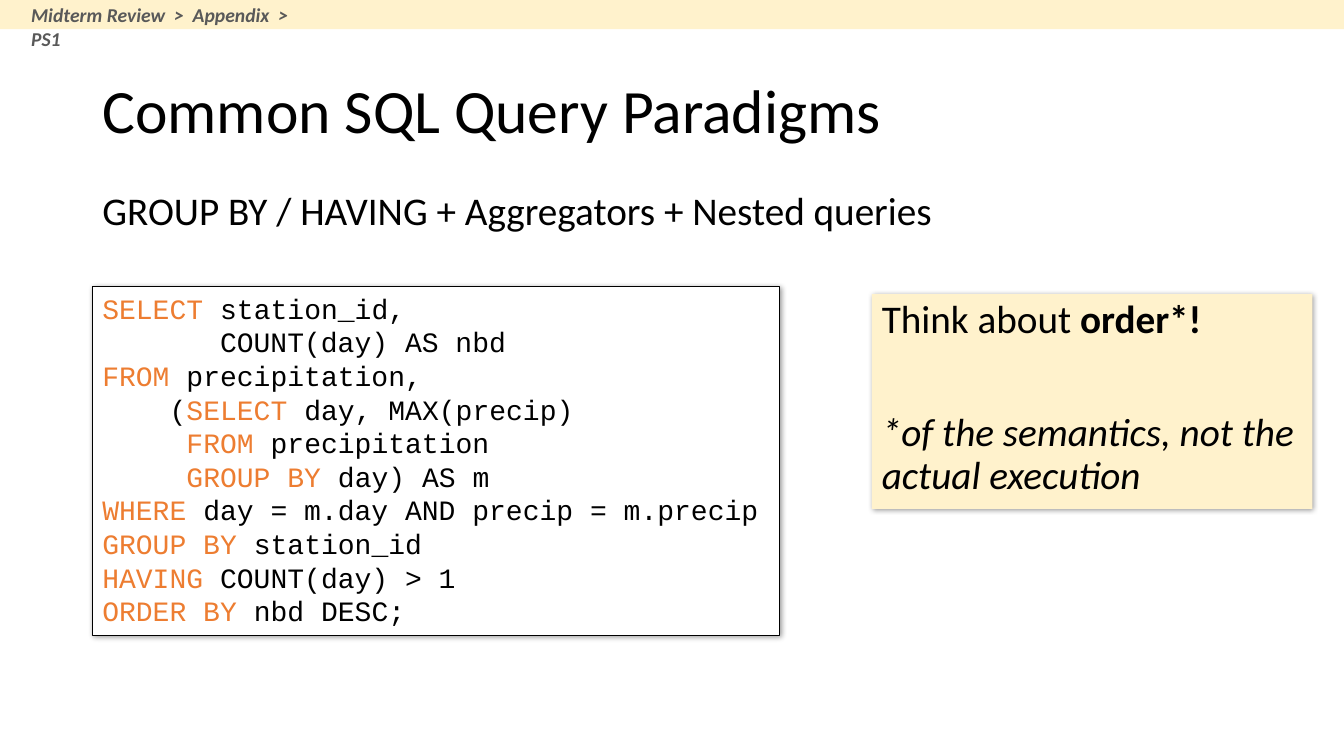
from lxml import etree
from pptx import Presentation
from pptx.dml.color import RGBColor
from pptx.enum import shapes, text
from pptx.oxml import ns
from pptx.util import Pt

BLACK = RGBColor(0x00, 0x00, 0x00)
WHITE = RGBColor(0xFF, 0xFF, 0xFF)
CREAM = RGBColor(0xFF, 0xF2, 0xCC)
ORANGE = RGBColor(0xED, 0x7D, 0x31)
GREY = RGBColor(0x59, 0x59, 0x59)

PAGE_WIDTH, PAGE_HEIGHT = 960, 540
TITLE = "Common SQL Query Paradigms"
TOPIC = "GROUP BY / HAVING + Aggregators + Nested queries"
BREADCRUMB = "Midterm Review  >  Appendix  >  PS1"
QUERY = [
    ("", "SELECT ", "station_id,"),
    ("       ", "", "COUNT(day) AS nbd"),
    ("", "FROM", " precipitation,"),
    ("    (", "SELECT ", "day, MAX(precip)"),
    ("     ", "FROM", " precipitation"),
    ("     ", "GROUP BY ", "day) AS m"),
    ("", "WHERE", " day = m.day AND precip = m.precip"),
    ("", "GROUP BY ", "station_id"),
    ("", "HAVING", " COUNT(day) > 1"),
    ("", "ORDER BY ", "nbd DESC;"),
]
NOTE_LEAD, NOTE_STRESS = "Think about ", "order*!"
NOTE_CAVEAT = "*of the semantics, not the actual execution"

TITLE_AREA = (66, 28.8, 828, 104.4)
TOPIC_AREA = (66, 133.2, 828, 40.3)
QUERY_AREA = (66, 204.5, 491, 249.8)
NOTE_AREA = (622.8, 210.2, 314.6, 153.4)
BAND_AREA = (0, 0, PAGE_WIDTH, 20.9)
BREADCRUMB_AREA = (15.1, -1.4, 219.6, 24.5)


def place(shape, area):
    shape.left, shape.top, shape.width, shape.height = map(Pt, area)


def style(para, size, color=BLACK, name="Calibri", spacing=None):
    para.alignment = text.PP_ALIGN.LEFT
    para.line_spacing = spacing
    para.space_before = Pt(0)
    para.font.name, para.font.size = name, Pt(size)
    para.font.color.rgb = color


def add_span(para, words, color=BLACK):
    span = para.add_run()
    span.text = words
    span.font.color.rgb = color
    return span


def add_box(page, area, fill):
    box = page.shapes.add_shape(shapes.MSO_SHAPE.RECTANGLE, *map(Pt, area))
    box.shadow.inherit = False
    box.fill.solid()
    box.fill.fore_color.rgb = fill
    box.line.fill.background()
    box.text_frame.word_wrap = True
    box.text_frame.vertical_anchor = text.MSO_ANCHOR.TOP
    return box


def add_shadow(box):
    effects = box.element.spPr.find(ns.qn("a:effectLst"))
    shadow = etree.SubElement(effects, ns.qn("a:outerShdw"), blurRad=str(Pt(4)),
                              dist=str(Pt(1)), dir="2700000", algn="tl", rotWithShape="0")
    color = etree.SubElement(shadow, ns.qn("a:srgbClr"), val=str(BLACK))
    etree.SubElement(color, ns.qn("a:alpha"), val="40000")


def add_headings(page):
    title, topic = page.shapes.title, page.placeholders[1]
    for holder, area, words, size in [(title, TITLE_AREA, TITLE, 44),
                                      (topic, TOPIC_AREA, TOPIC, 28)]:
        place(holder, area)
        holder.text_frame.text = words
        holder.text_frame.auto_size = text.MSO_AUTO_SIZE.NONE
        para = holder.text_frame.paragraphs[0]
        if holder is topic:
            properties = para._p.get_or_add_pPr()
            properties.set("marL", "0")
            properties.set("indent", "0")
            etree.SubElement(properties, ns.qn("a:buNone"))
        style(para, size, spacing=0.9)
    title.text_frame.vertical_anchor = text.MSO_ANCHOR.MIDDLE


def add_query(page):
    box = add_box(page, QUERY_AREA, WHITE)
    box.line.color.rgb = BLACK
    box.line.width = Pt(0.75)
    add_shadow(box)
    for number, parts in enumerate(QUERY):
        frame = box.text_frame
        para = frame.add_paragraph() if number else frame.paragraphs[0]
        style(para, 20, name="Courier New")
        for words, color in zip(parts, (BLACK, ORANGE, BLACK)):
            if words:
                add_span(para, words, color)


def add_note(page):
    box = add_box(page, NOTE_AREA, CREAM)
    add_shadow(box)
    lead, caveat = box.text_frame.paragraphs[0], box.text_frame.add_paragraph()
    for para in (lead, caveat):
        style(para, 28, spacing=0.9)
    add_span(lead, NOTE_LEAD)
    add_span(lead, NOTE_STRESS).font.bold = True
    caveat.space_before = Pt(51)
    caveat.font.italic = True
    add_span(caveat, NOTE_CAVEAT)


def add_breadcrumb(page):
    add_box(page, BAND_AREA, CREAM)
    box = page.shapes.add_textbox(*map(Pt, BREADCRUMB_AREA))
    box.text_frame.word_wrap = True
    para = box.text_frame.paragraphs[0]
    style(para, 14, GREY)
    para.font.bold = para.font.italic = True
    add_span(para, BREADCRUMB, GREY)


def main():
    deck = Presentation()
    deck.slide_width, deck.slide_height = Pt(PAGE_WIDTH), Pt(PAGE_HEIGHT)
    page = deck.slides.add_slide(deck.slide_layouts[1])
    add_headings(page)
    add_query(page)
    add_note(page)
    add_breadcrumb(page)
    deck.save("out.pptx")


if __name__ == "__main__":
    main()
